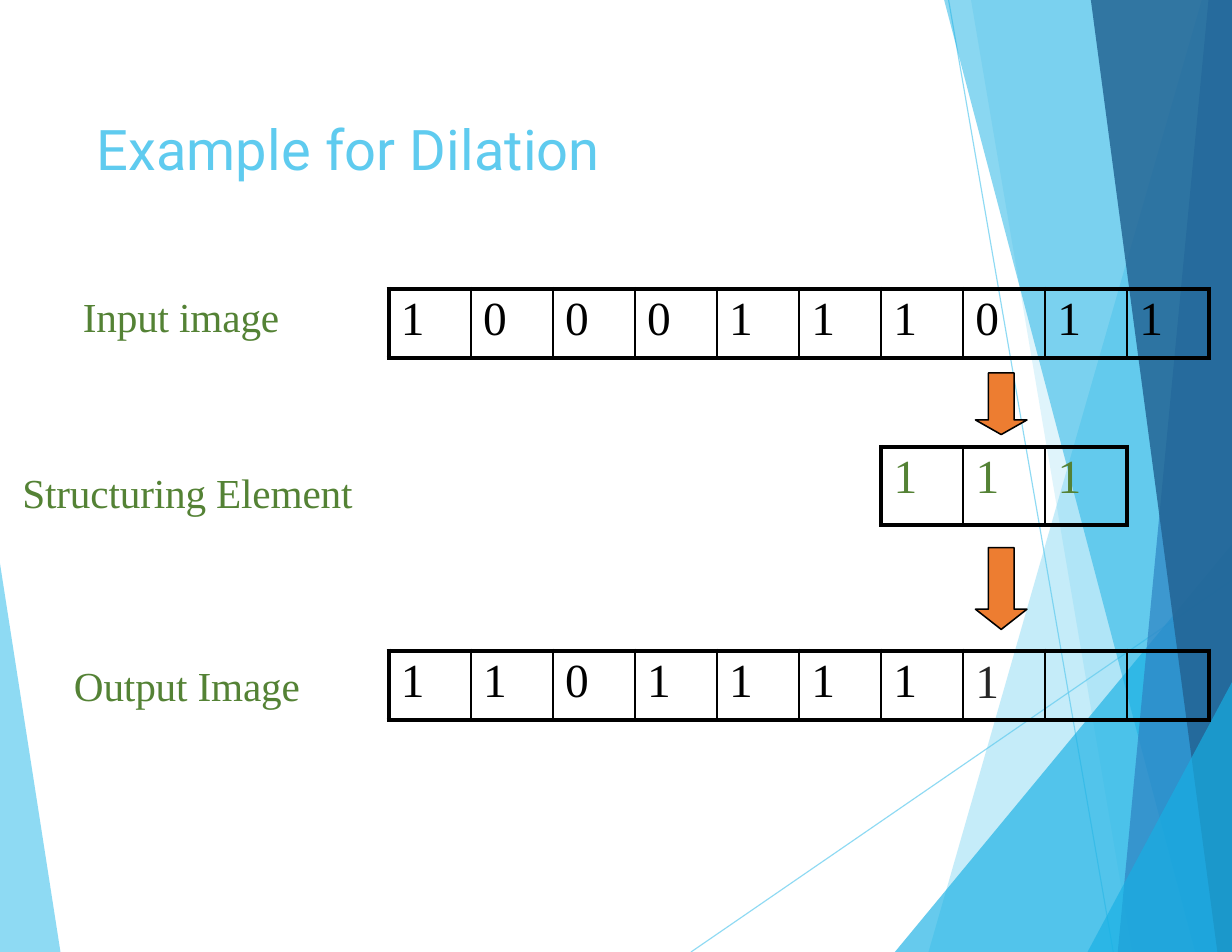
from lxml import etree
from pptx import Presentation
from pptx.dml.color import RGBColor
from pptx.enum.shapes import MSO_CONNECTOR, MSO_SHAPE
from pptx.enum.text import MSO_ANCHOR
from pptx.oxml.ns import qn
from pptx.util import Inches, Pt

STRAIGHT = MSO_CONNECTOR.STRAIGHT
DOWN_ARROW = MSO_SHAPE.DOWN_ARROW
TOP = MSO_ANCHOR.TOP

SKY = RGBColor(0x5F, 0xCB, 0xEF)
CYAN = RGBColor(0x17, 0xB0, 0xE4)
BLUE = RGBColor(0x2E, 0x83, 0xC3)
NAVY = RGBColor(0x22, 0x62, 0x92)
GREEN = RGBColor(0x54, 0x82, 0x35)
ORANGE = RGBColor(0xED, 0x7D, 0x31)
BLACK = RGBColor(0x00, 0x00, 0x00)
CHARCOAL = RGBColor(0x26, 0x26, 0x26)

SERIF = "Times New Roman"
WIDTH, HEIGHT = 11, 8.5
ROW_LEFT = 3.47
CELL_WIDTH = 7.33 / 10


def set_alpha(shape, percent):
    """Make the first solid colour of a shape or connector partly transparent."""
    color = next(shape.element.spPr.iter(qn("a:srgbClr")))
    etree.SubElement(color, qn("a:alpha")).set("val", str(percent * 1000))


def write(frame, text, size, color, font=SERIF, indent=0, spacing=0, before=0, new=False):
    """Write text into the first paragraph of a frame, or into a new one."""
    paragraph = frame.add_paragraph() if new else frame.paragraphs[0]
    paragraph.space_before = Pt(before)
    paragraph._p.get_or_add_pPr().set("marL", str(Inches(indent)))
    run = paragraph.add_run()
    run.text = text
    run.font.name = font
    run.font.size = Pt(size)
    run.font.color.rgb = color
    if spacing:
        run._r.get_or_add_rPr().set("spc", str(int(spacing * 100)))


presentation = Presentation()
presentation.slide_width = Inches(WIDTH)
presentation.slide_height = Inches(HEIGHT)
slide = presentation.slides.add_slide(presentation.slide_layouts[6])
shapes = slide.shapes

# Background: thin rays, then translucent facets from back to front
for start, end in [((6.17, HEIGHT), (WIDTH, 5.18)), ((8.47, 0), (9.94, HEIGHT))]:
    ray = shapes.add_connector(STRAIGHT, *map(Inches, start + end))
    ray.line.color.rgb = SKY
    ray.line.width = Pt(0.75)
    set_alpha(ray, 70)
    etree.SubElement(ray.element.spPr, qn("a:effectLst"))

bottom_right = (WIDTH, HEIGHT)
top_right = (WIDTH, 0)
facets = [
    ([(0, 5.03), (0.54, HEIGHT), (0, HEIGHT)], SKY, 70),
    ([(10.73, 0), (8.29, HEIGHT), bottom_right, top_right], SKY, 36),
    ([(8.67, 0), (10.11, HEIGHT), bottom_right, top_right], SKY, 20),
    ([(7.99, HEIGHT), (WIDTH, 4.86), bottom_right], CYAN, 66),
    ([(8.43, 0), (10.67, HEIGHT), bottom_right, top_right], CYAN, 50),
    ([(10.79, 0), (9.98, HEIGHT), bottom_right, top_right], BLUE, 70),
    ([(9.74, 0), (10.87, HEIGHT), bottom_right, top_right], NAVY, 82),
    ([(9.71, HEIGHT), (WIDTH, 6.09), bottom_right], CYAN, 66),
]
for corners, color, alpha in facets:
    points = [(Inches(x), Inches(y)) for x, y in corners]
    builder = shapes.build_freeform(*points[0])
    builder.add_line_segments(points[1:], close=True)
    facet = builder.convert_to_shape()
    facet.shadow.inherit = False
    facet.fill.solid()
    facet.fill.fore_color.rgb = color
    facet.line.fill.background()
    set_alpha(facet, alpha)

# Title and row labels
frames = []
for box, top_margin in [
    ((0.85, 1, 6.48, 0.63), 0.02),
    ((0.19, 2.59, 2.99, 1.98), 0.01),
    ((0.65, 5.89, 2.05, 0.47), 0.01),
]:
    frame = shapes.add_textbox(*map(Inches, box)).text_frame
    frame.word_wrap = True
    frame.vertical_anchor = TOP
    frame.margin_left = frame.margin_right = frame.margin_bottom = 0
    frame.margin_top = Inches(top_margin)
    frames.append(frame)
title, input_labels, output_label = frames
label_format = {"size": 26.5, "color": GREEN, "spacing": -0.1}
write(title, "Example for Dilation", 36, SKY, font="Roboto", indent=0.01, spacing=0.1)
write(input_labels, "Input image", indent=0.55, **label_format)
write(input_labels, "Structuring Element", indent=0.01, before=81.4, new=True, **label_format)
write(output_label, "Output Image", indent=0.01, **label_format)

# Pixel rows: first column, top, height, digits, colour
pixel_rows = [
    (0, 2.58, 0.62, "1000111011", BLACK),
    (6, 3.99, 0.7, "111", GREEN),
    (0, 5.81, 0.62, "11011111  ", BLACK),
]
tables = []
for first_column, top, height, digits, color in pixel_rows:
    count = len(digits)
    table = shapes.add_table(
        1, count, Inches(ROW_LEFT + first_column * CELL_WIDTH), Inches(top),
        Inches(count * CELL_WIDTH), Inches(height),
    ).table
    table.first_row = False
    table.horz_banding = False
    table.rows[0].height = Inches(height)
    for index, digit in enumerate(digits):
        table.columns[index].width = Inches(CELL_WIDTH)
        cell = table.cell(0, index)
        cell.margin_left = cell.margin_right = cell.margin_bottom = 0
        cell.margin_top = Inches(0.04)
        borders = {
            "a:lnL": 3 if index == 0 else 1.5,
            "a:lnR": 3 if index == count - 1 else 1.5,
            "a:lnT": 3,
            "a:lnB": 3,
        }
        properties = cell._tc.get_or_add_tcPr()
        for side, width in borders.items():
            line = etree.SubElement(properties, qn(side), w=str(Pt(width)))
            fill = etree.SubElement(line, qn("a:solidFill"))
            etree.SubElement(fill, qn("a:srgbClr"), val=str(BLACK))
        cell.fill.background()
        if digit.strip():
            write(cell.text_frame, digit, 30.5, color, indent=0.11)
    tables.append(table)

# The newly computed output pixel
new_pixel = tables[2].cell(0, 7)
new_pixel.margin_top = Inches(0.05)
new_pixel.text_frame.paragraphs[0].runs[0].font.color.rgb = CHARCOAL

# Arrows between the rows
arrow_width = 0.46
for top, height, head in [(3.33, 0.55, 0.13), (4.89, 0.73, 0.18)]:
    arrow = shapes.add_shape(
        DOWN_ARROW, Inches(8.71), Inches(top), Inches(arrow_width), Inches(height)
    )
    arrow.adjustments[0] = 0.5
    arrow.adjustments[1] = head / arrow_width
    arrow.shadow.inherit = False
    arrow.fill.solid()
    arrow.fill.fore_color.rgb = ORANGE
    arrow.line.color.rgb = BLACK
    arrow.line.width = Pt(1)

presentation.save("out.pptx")
